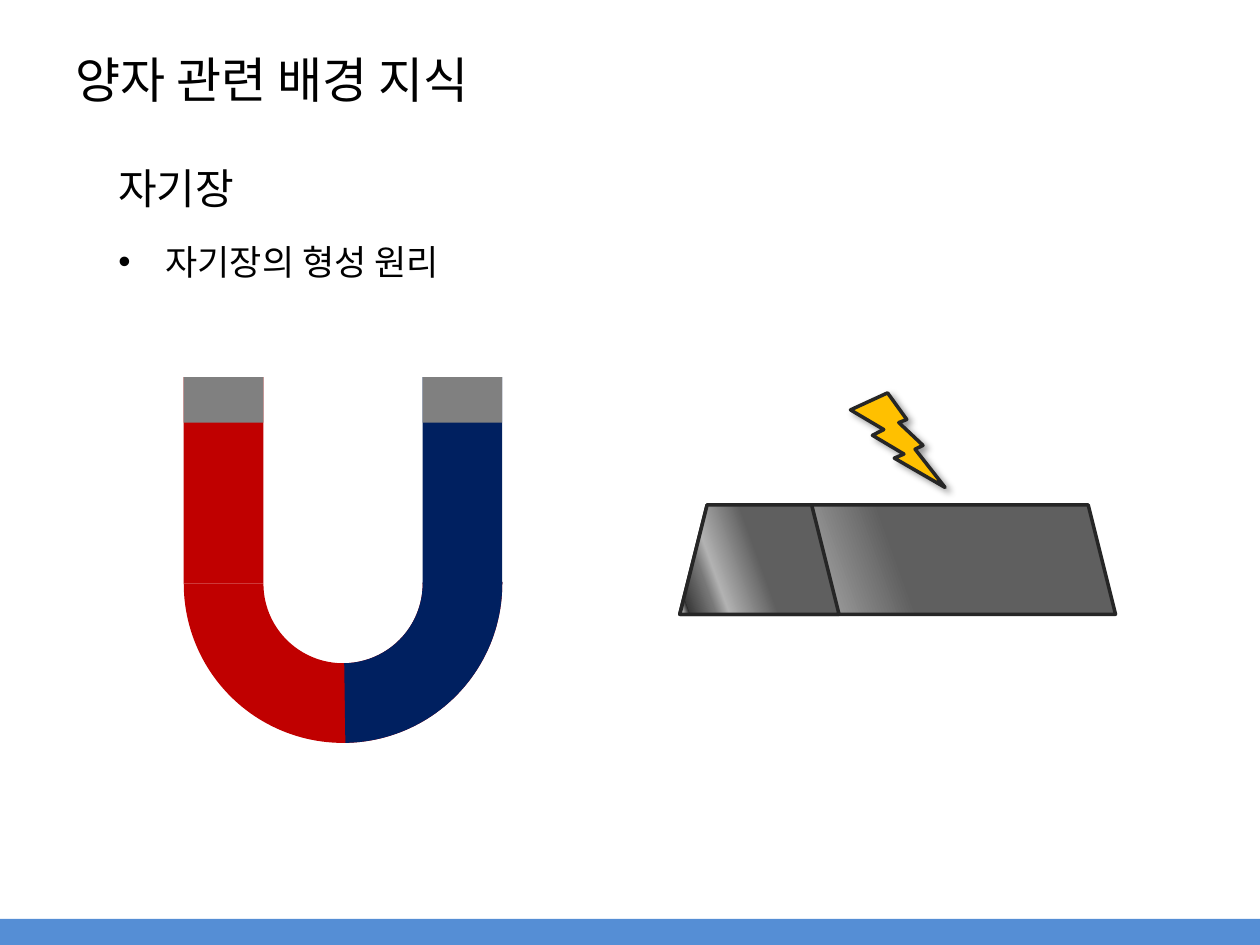
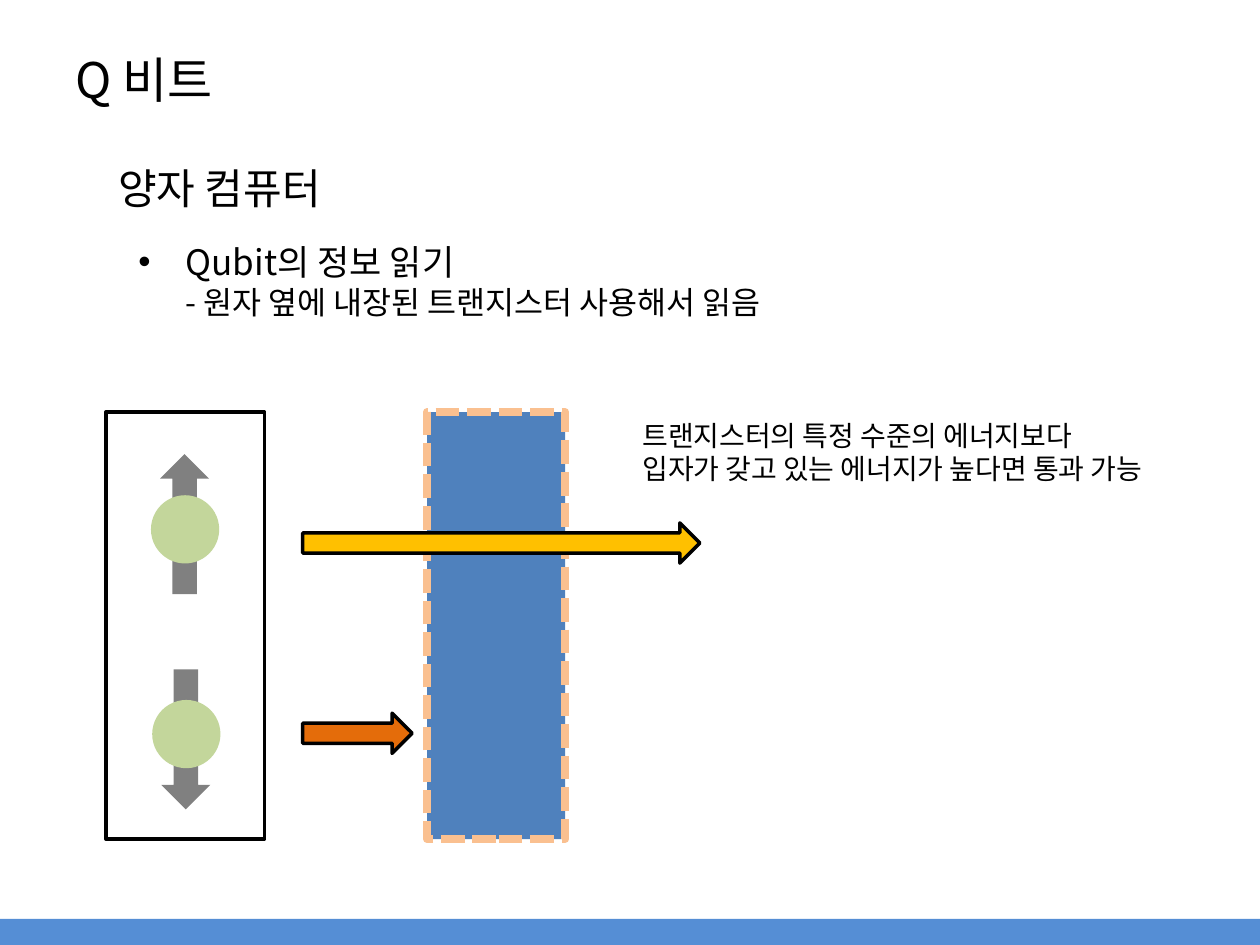
from lxml import etree
from pptx import Presentation
from pptx import util as u
from pptx.dml.color import RGBColor
from pptx.enum import dml, shapes, text
from pptx.oxml import ns

FONT = "Noto Sans CJK KR"
BLACK, GREY, OUTLINE = "000000", "808080", "262626"
BAND, RED, NAVY = "558ED5", "C00000", "002060"
AMBER, ORANGE, GREEN = "FFC000", "E46C0A", "C3D69B"
TRANSISTOR, PEACH = "4F81BD", "FAC090"
METAL = [(0, "CBCBCB"), (0, "5F5F5F"), (50, "5F5F5F"), (75, "B2B2B2"),
         (82, "777777"), (95, "3B3B3B"), (95, "292929"), (100, "FFFFFF"),
         (100, "EAEAEA")]
SLIDE_W, SLIDE_H = 720, 540
PRESET = shapes.MSO_SHAPE


def rgb(value):
    return RGBColor.from_string(value)


def pts(*lengths):
    return [u.Pt(length) for length in lengths]


def element(parent, tag, **attributes):
    child = etree.SubElement(parent, ns.qn(tag))
    for key, value in attributes.items():
        child.set(key, str(value))
    return child


def style(paragraph, size):
    font = paragraph.font
    font.size, font.color.rgb, font.name = u.Pt(size), rgb(BLACK), FONT
    properties = paragraph._p.pPr.find(ns.qn("a:defRPr"))
    element(properties, "a:ea", typeface=FONT)


def draw(parent, preset, box, fill=None, line=None, width=2):
    """Add a preset shape; box is left, top, width, height in points."""
    shape = parent.add_shape(preset, *pts(*box))
    shape.shadow.inherit = False
    if fill:
        shape.fill.solid()
        shape.fill.fore_color.rgb = rgb(fill)
    else:
        shape.fill.background()
    if line:
        shape.line.color.rgb = rgb(line)
        shape.line.width = u.Pt(width)
    else:
        shape.line.fill.background()
    return shape


def text_frame(slide, box, wrap=True):
    frame = slide.shapes.add_textbox(*pts(*box)).text_frame
    frame.word_wrap = wrap
    frame.auto_size = text.MSO_AUTO_SIZE.SHAPE_TO_FIT_TEXT
    return frame


def new_slide(prs, title, topic):
    """Slide with its title, bottom band and topic heading."""
    slide = prs.slides.add_slide(prs.slide_layouts[5])
    heading = slide.shapes.title
    heading.left, heading.top, heading.width, heading.height = pts(36, 0, 648, 90)
    heading.text_frame.text = title
    heading.text_frame.vertical_anchor = text.MSO_ANCHOR.MIDDLE
    paragraph = heading.text_frame.paragraphs[0]
    paragraph.alignment = text.PP_ALIGN.LEFT
    style(paragraph, 28)

    draw(slide.shapes, PRESET.RECTANGLE, (0, SLIDE_H - 15, SLIDE_W, 15), BAND)

    paragraph = text_frame(slide, (60.5, 89.5, 181.5, 36)).paragraphs[0]
    paragraph.text = topic
    style(paragraph, 24)
    return slide


def bullet(slide, box, point, detail=None):
    paragraph = text_frame(slide, box).paragraphs[0]
    properties = paragraph._p.get_or_add_pPr()
    properties.set("marL", str(u.Pt(27)))
    properties.set("indent", str(u.Pt(-27)))
    element(properties, "a:buFont", typeface="Arial")
    element(properties, "a:buChar", char="•")
    style(paragraph, 20)
    paragraph.add_run().text = point
    if detail:
        paragraph.add_line_break()
        run = paragraph.add_run()
        run.text = detail
        run.font.size = u.Pt(18)


def magnet(slide, left, top, width):
    """Horseshoe magnet: two arms on a half ring, with grey tips."""
    parts = slide.shapes.add_group_shape().shapes
    arm, tip = width / 4, 26
    ring = (left, top + 27, width, width)
    arm_height = 27 + width / 2
    arms = [(left, RED), (left + width - arm, NAVY)]

    def arc(fill, end, thickness):
        bend = draw(parts, PRESET.BLOCK_ARC, ring, fill)
        bend.rotation = 180
        for index, value in enumerate((107.625, end, thickness)):
            bend.adjustments[index] = value

    arc(RED, 0, 0.25)
    for x, fill in arms:
        draw(parts, PRESET.RECTANGLE, (x, top, arm, arm_height), fill)
    for x, _ in arms:
        draw(parts, PRESET.RECTANGLE, (x, top, arm, tip), GREY)
    arc(NAVY, 161.49, 0.25)


def metal_bar(slide, left, top, width, height):
    """Metal bar with a separate end piece."""
    parts = slide.shapes.add_group_shape().shapes
    for piece_width in (width, 91):
        piece = draw(parts, PRESET.TRAPEZOID, (left, top, piece_width, height),
                     GREY, OUTLINE)
        piece.fill.gradient()
        piece.fill.gradient_angle = 200
        stops = piece._element.spPr.find(".//" + ns.qn("a:gsLst"))
        for stop in list(stops):
            stops.remove(stop)
        for position, colour in METAL:
            stop = element(stops, "a:gs", pos=position * 1000)
            element(stop, "a:srgbClr", val=colour)


def spark(slide, box):
    bolt = draw(slide.shapes, PRESET.LIGHTNING_BOLT, box, AMBER, OUTLINE)
    effects = bolt._element.spPr.find(ns.qn("a:effectLst"))
    shadow = element(effects, "a:outerShdw", blurRad=u.Pt(4), dist=u.Pt(3),
                     dir=45 * 60000, algn="tl", rotWithShape=0)
    element(element(shadow, "a:srgbClr", val=BLACK), "a:alpha", val=40000)


def spin(slide, x, y, up):
    """Particle on a spin arrow centred at x, y."""
    parts = slide.shapes.add_group_shape().shapes
    length, thickness, diameter = 80, 28, 39
    arrow = draw(parts, PRESET.RIGHT_ARROW,
                 (x - length / 2, y - thickness / 2, length, thickness), GREY)
    arrow.rotation = 270 if up else 90
    particle_y = y + (3 if up else -3)
    draw(parts, PRESET.OVAL, (x - diameter / 2 + 0.3, particle_y - diameter / 2,
                              diameter, diameter), GREEN)


def transistor_reading(slide, left, top, height):
    """Spin states, the transistor barrier and the energy arrows."""
    spin(slide, left + 45, top + 64, up=True)
    spin(slide, left + 45.7, top + 187, up=False)

    barrier = draw(slide.shapes, PRESET.RECTANGLE,
                   (left + 183.5, top, 79, height), TRANSISTOR, PEACH, 4.5)
    barrier.line.dash_style = dml.MSO_LINE.SQUARE_DOT

    note = text_frame(slide, (left + 299.5, top, 345, 46), wrap=False)
    note.text = ("트랜지스터의 특정 수준의 에너지보다\n"
                 "입자가 갖고 있는 에너지가 높다면 통과 가능")
    for paragraph in note.paragraphs:
        style(paragraph, 16)

    draw(slide.shapes, PRESET.RECTANGLE, (left, top, 90.7, height), line=BLACK)
    for y, length, fill in ((63.3, 227, AMBER), (172, 62.6, ORANGE)):
        draw(slide.shapes, PRESET.RIGHT_ARROW,
             (left + 112.5, top + y, length, 23), fill, BLACK)


def magnetic_field(prs):
    slide = new_slide(prs, "양자 관련 배경 지식", "자기장")
    bullet(slide, (60.5, 134, 289, 32), "자기장의 형성 원리")
    magnet(slide, 105, 215.5, 182)
    metal_bar(slide, 388.5, 288.5, 249, 62.5)
    spark(slide, (486, 224.5, 54, 54))


def qubit(prs):
    slide = new_slide(prs, "Q 비트", "양자 컴퓨터")
    bullet(slide, (72, 134, 611, 101.5), "Qubit의 정보 읽기",
           "- 원자 옆에 내장된 트랜지스터 사용해서 읽음")
    transistor_reading(slide, 60.5, 235.5, 244)


def main():
    prs = Presentation()
    prs.slide_width, prs.slide_height = pts(SLIDE_W, SLIDE_H)
    magnetic_field(prs)
    qubit(prs)
    prs.save("out.pptx")


if __name__ == "__main__":
    main()
